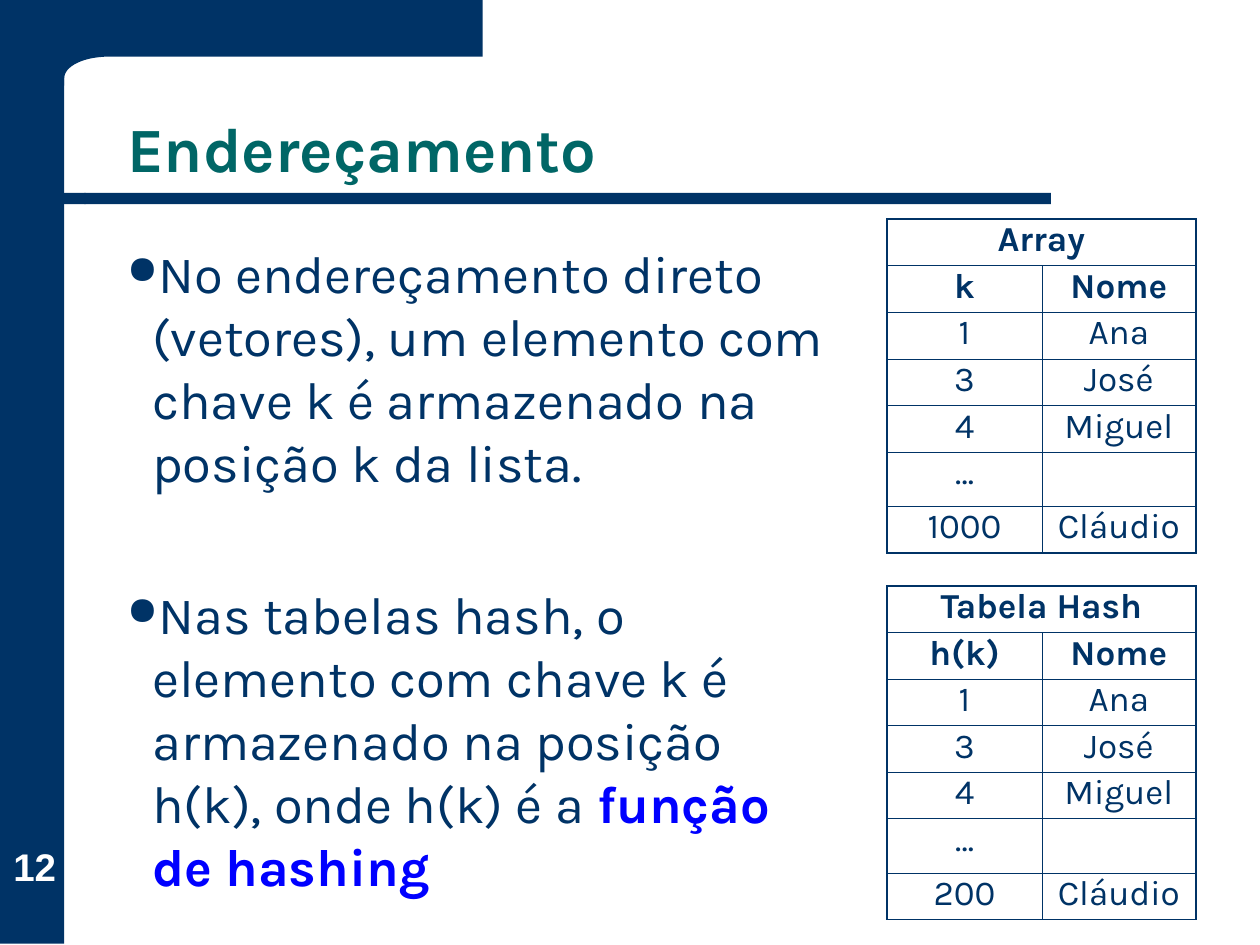
from math import cos, pi, sin

from lxml.etree import SubElement
from pptx import Presentation
from pptx.dml.color import RGBColor
from pptx.enum.shapes import MSO_SHAPE as Shape
from pptx.enum.text import MSO_ANCHOR as Anchor, MSO_AUTO_SIZE as AutoSize, PP_ALIGN as Align
from pptx.oxml.ns import qn
from pptx.util import Inches, Pt

NAVY, TEAL, BLUE, WHITE = "003366", "006666", "0000FF", "FFFFFF"
THIN, THICK = 0.45, 1.08
NAMES = ["Nome", "Ana", "José", "Miguel", "", "Cláudio"]
ARRAY_KEYS = ["k", "1", "3", "4", "…", "1000"]
HASH_KEYS = ["h(k)", "1", "3", "4", "…", "200"]


def color(value):
    """Turn a hex string into a colour."""
    return RGBColor.from_string(value)


def add_span(para, text, size=20, font="Karla", fill=NAVY, bold=False):
    """Append formatted text to a paragraph."""
    span = para.add_run()
    span.text = text
    span.font.size = Pt(size)
    span.font.name = font
    span.font.bold = bold
    span.font.color.rgb = color(fill)


def paint(shape):
    """Give a shape a plain navy fill."""
    shape.shadow.inherit = False
    shape.fill.solid()
    shape.fill.fore_color.rgb = color(NAVY)
    shape.line.fill.background()
    return shape


def add_block(page, kind, left, top, width, height):
    """Add a navy preset shape."""
    area = map(Inches, (left, top, width, height))
    return paint(page.shapes.add_shape(kind, *area))


def add_corner(page):
    """Add the top band with its rounded inner corner."""
    steps = 16
    angles = [pi / 2 * step / steps for step in range(steps + 1)]
    curve = [(0.86 - 0.35 * sin(a), 0.62 - 0.17 * cos(a)) for a in angles]
    points = [(3.83, 0.45), *curve, (0.51, 0.68), (0.09, 0.68), (0.09, 0)]
    builder = page.shapes.build_freeform(Inches(3.83), 0)
    builder.add_line_segments([(Inches(x), Inches(y)) for x, y in points])
    paint(builder.convert_to_shape())


def add_box(page, left, top, width, height, anchor=Anchor.TOP):
    """Add a wrapping text box and return its frame."""
    box = page.shapes.add_textbox(*map(Inches, (left, top, width, height)))
    frame = box.text_frame
    frame.word_wrap = True
    frame.vertical_anchor = anchor
    return frame


def add_title(page, text):
    """Add the slide title."""
    para = add_box(page, 0.91, 0.44, 8.51, 1.09, Anchor.BOTTOM).paragraphs[0]
    para.line_spacing = 0.9
    add_span(para, text, size=36, fill=TEAL, bold=True)


def add_page_number(page, text):
    """Add the page number on the side bar."""
    frame = add_box(page, 0.03, 6.52, 0.49, 0.54, Anchor.BOTTOM)
    frame.margin_left = frame.margin_right = frame.margin_top = frame.margin_bottom = 0
    para = frame.paragraphs[0]
    para.alignment = Align.CENTER
    add_span(para, text, size=22, font="Arial", fill=WHITE, bold=True)


def set_bullet(para):
    """Give a paragraph a hanging round bullet."""
    props = para._p.get_or_add_pPr()
    props.set("marL", str(Inches(0.2)))
    props.set("indent", str(Inches(-0.2)))
    SubElement(SubElement(props, qn("a:buClr")), qn("a:srgbClr"), val=NAVY)
    SubElement(props, qn("a:buSzPct"), val="75000")
    SubElement(props, qn("a:buChar"), char="●")


def add_bullets(page):
    """Add the two explanations."""
    frame = add_box(page, 0.91, 1.86, 5.83, 5.31)
    frame.auto_size = AutoSize.SHAPE_TO_FIT_TEXT
    direct, hashed = frame.paragraphs[0], frame.add_paragraph()
    for para, gap in ((direct, 7.5), (hashed, 51)):
        para.space_before = Pt(gap)
        set_bullet(para)
    add_span(direct, "No endereçamento direto (vetores), um elemento com chave k "
             "é armazenado na posição k da lista.", size=30)
    add_span(hashed, "Nas tabelas hash, o elemento com chave k é armazenado na "
             "posição h(k), onde h(k) é a ", size=30)
    add_span(hashed, "função de hashing", size=30, fill=BLUE, bold=True)


def set_borders(cell, **widths):
    """Draw the cell borders in navy, widths keyed by side."""
    props = cell._tc.get_or_add_tcPr()
    for index, side in enumerate("LRTB"):
        line = SubElement(props, qn(f"a:ln{side}"), w=str(Pt(widths[side])))
        SubElement(SubElement(line, qn("a:solidFill")), qn("a:srgbClr"), val=NAVY)
        props.insert(index, line)


def fill_cell(cell, text, bold):
    """Write centred text in an unfilled cell."""
    cell.fill.background()
    if text:
        para = cell.text_frame.paragraphs[0]
        para.alignment = Align.CENTER
        para.line_spacing = 0.8
        para.space_before = Pt(5)
        add_span(para, text, bold=bold)


def add_lookup_table(page, top, title, keys):
    """Add a titled table of keys and names."""
    rows = [(title, ""), *zip(keys, NAMES)]
    last = len(rows) - 1
    area = map(Inches, (7.04, top, 2.45, 2.65))
    table = page.shapes.add_table(len(rows), 2, *area).table
    table.first_row = table.horz_banding = False
    table.columns[0].width, table.columns[1].width = Inches(1.23), Inches(1.22)
    table.cell(0, 0).merge(table.cell(0, 1))
    for row, texts in enumerate(rows):
        table.rows[row].height = Inches(0.43 if "…" in texts else 0.37)
        for column, text in enumerate(texts):
            cell = table.cell(row, column)
            fill_cell(cell, text, bold=row < 2)
            set_borders(cell,
                        L=THIN if column else THICK,
                        R=THICK if column or row == 0 else THIN,
                        T=THIN if row else THICK,
                        B=THICK if row == last else THIN)


def main():
    """Build and save the slide."""
    deck = Presentation()
    deck.slide_width, deck.slide_height = Inches(10), Inches(7.5)
    page = deck.slides.add_slide(deck.slide_layouts[6])
    add_block(page, Shape.RECTANGLE, 0, -0.01, 0.51, 7.5)
    add_corner(page)
    add_block(page, Shape.ROUNDED_RECTANGLE, 0.67, 1.53, 7.67, 0.09).adjustments[0] = 0
    cap = add_block(page, Shape.FLOWCHART_DELAY, 0.25, 1.53, 0.43, 0.09)
    cap._element.spPr.xfrm.set("flipH", "1")
    add_page_number(page, "12")
    add_title(page, "Endereçamento")
    add_lookup_table(page, 1.74, "Array", ARRAY_KEYS)
    add_lookup_table(page, 4.65, "Tabela Hash", HASH_KEYS)
    add_bullets(page)
    deck.save("out.pptx")


if __name__ == "__main__":
    main()
